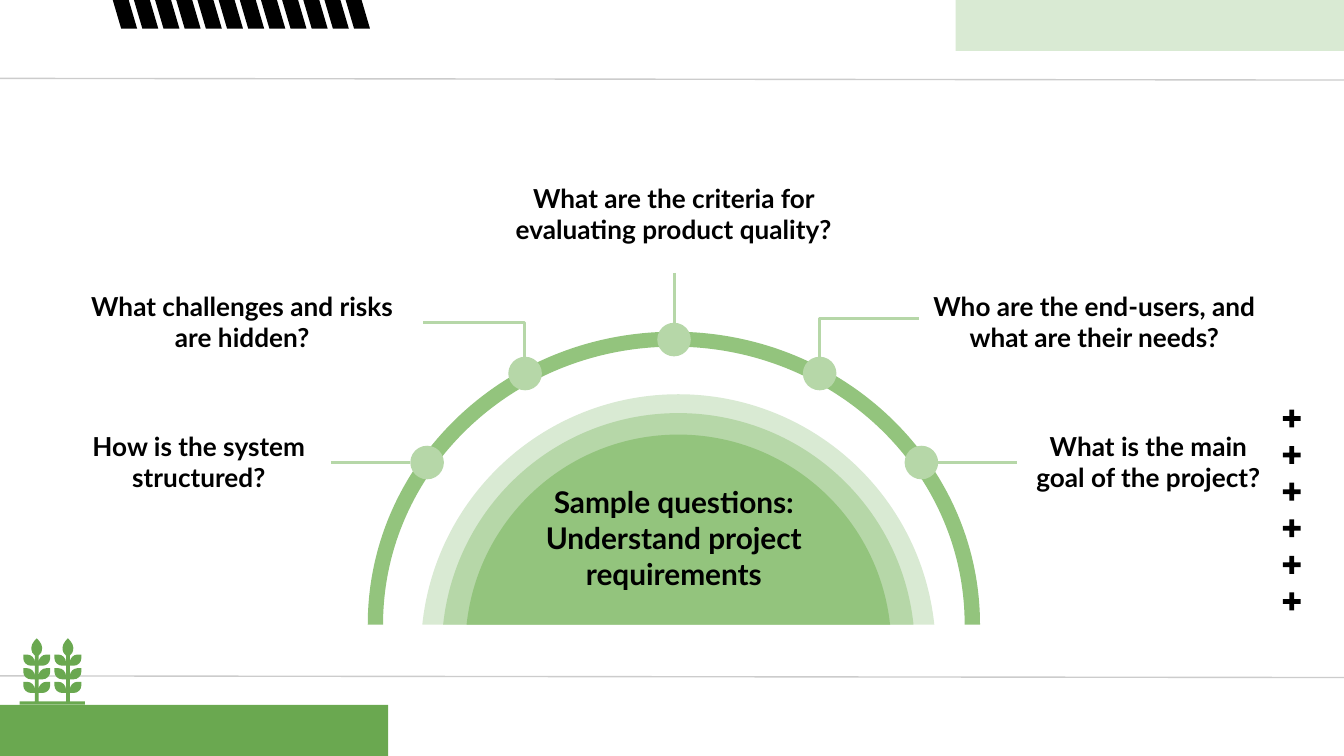
import math
import pptx
import pptx.util
import pptx.dml.color
import pptx.enum.shapes
import pptx.enum.text
import pptx.oxml.ns
import pptx.oxml.xmlchemy

Pt = pptx.util.Pt
Kind = pptx.enum.shapes.MSO_SHAPE
Link = pptx.enum.shapes.MSO_CONNECTOR
qn = pptx.oxml.ns.qn
make = pptx.oxml.xmlchemy.OxmlElement

FONT = "Lato"
BLACK, GREY = "000000", "CCCCCC"
PALE, LIGHT, MID, DEEP = "D9EAD3", "B6D7A8", "93C47D", "6AA850"
BASE = 334.6

RULES = [((-3, 42), (723, 42.9)), ((-3, 362.1), (723, 363))]
BANDS = [(512, 0, 360, 27.3, PALE), (-152, 377.6, 360, 27.4, DEEP)]
DOTS = [(228.8, 247.8), (281.3, 200.1), (361.1, 181.9), (439.1, 200.1), (493.6, 247.8)]
LINKS = [
    ((226.8, 172.6), (281.1, 191.5)),
    ((492.1, 170.6), (439, 191.5)),
    ((361.2, 146.2), (361.2, 172.8)),
    ((177.2, 247.9), (219.6, 247.9)),
    ((502.6, 247.9), (544.7, 247.9)),
]
DOMES = [(349.1, 137.9, PALE), (348, 126.7, LIGHT), (346.9, 114.1, MID)]
TEXTS = [
    ("Sample questions: Understand project requirements", 249.8, 252, 222.5, 72.7, 16),
    ("How is the system structured?", 36, 223.2, 141.1, 48.2, 14),
    ("What is the main goal of the project?", 544.7, 223.2, 141.1, 48.2, 14),
    ("What challenges and risks are hidden?", 35.8, 148.3, 187.9, 48.2, 14),
    ("Who are the end-users, and what are their needs?", 492.3, 148.3, 187.9, 48.2, 14),
    ("What are the criteria for evaluating product quality?", 267, 90.3, 187.9, 48.2, 14),
]

deck = pptx.Presentation()
deck.slide_width, deck.slide_height = Pt(720), Pt(405)
slide = deck.slides.add_slide(deck.slide_layouts[6])
shapes = slide.shapes


def tint(code):
    return pptx.dml.color.RGBColor.from_string(code)


def paint(shape, code):
    shape.shadow.inherit = False
    shape.fill.solid()
    shape.fill.fore_color.rgb = tint(code)
    shape.line.fill.background()
    return shape


def block(kind, x, y, w, h, code):
    return paint(shapes.add_shape(kind, Pt(x), Pt(y), Pt(w), Pt(h)), code)


def outline(nodes, code):
    spots = [(Pt(x), Pt(y)) for x, y, bend in nodes]
    pen = shapes.build_freeform(*spots[0])
    pen.add_line_segments(spots[1:], close=True)
    shape = paint(pen.convert_to_shape(), code)
    steps = list(shape._element.iter(qn("a:lnTo")))
    for i, step in enumerate(steps[:-2]):
        if nodes[i + 1][2] and nodes[i + 2][2]:
            curve = make("a:cubicBezTo")
            step.addprevious(curve)
            for old in steps[i:i + 3]:
                curve.append(old[0])
                old.getparent().remove(old)


def link(start, end, code, width):
    (x1, y1), (x2, y2) = start, end
    bent = code == LIGHT and x1 != x2 and y1 != y2
    line = shapes.add_connector(
        Link.ELBOW if bent else Link.STRAIGHT, Pt(x1), Pt(y1), Pt(x2), Pt(y2))
    line.line.color.rgb = tint(code)
    line.line.width = Pt(width)
    props = line._element.spPr
    props.append(make("a:effectLst"))
    if bent:
        props.find(qn("a:prstGeom")).set("prst", "bentConnector2")


def arc(cx, cy, rx, ry, first, last, parts):
    turn = (last - first) / parts
    pull = 4 / 3 * math.tan(turn / 4)

    def node(t, lean):
        x = math.cos(t) - lean * math.sin(t)
        y = math.sin(t) + lean * math.cos(t)
        return cx + rx * x, cy - ry * y, lean != 0

    nodes = [node(first, 0)]
    for i in range(parts):
        t = first + turn * i
        nodes += [node(t, pull), node(t + turn, -pull), node(t + turn, 0)]
    return nodes


def stalk():
    side = [(0, 342, False), (0, 342, True), (2.9, 344.6, True), (2.9, 347, False),
            (2.9, 349, True), (2.2, 350.6, True), (1, 351.3, False)]
    for row in range(3):
        y = 350.7 + 7.3 * row
        side += arc(5.2, y + 4.3, 4.2, 4.3, math.pi, math.pi / 2, 1)
        side += [(7.2, y, False)]
        side += arc(3, y + 2, 4.2, 4, 0, -math.pi / 2, 1)
        side += [(1, y + 6, False)]
    return side + [(1, 375.8, False)]


for start, end in RULES:
    link(start, end, GREY, 0.75)
for x, y, w, h, code in BANDS:
    block(Kind.RECTANGLE, x, y, w, h, code)

side = stalk()
wheat = [(10.5, 377.5, False), (10.5, 375.8, False)]
for axis in (19.7, 36.4):
    wheat += [(axis - x, y, bend) for x, y, bend in reversed(side)]
    wheat += [(axis + x, y, bend) for x, y, bend in side[1:]]
outline(wheat + [(45.5, 375.8, False), (45.5, 377.5, False)], DEEP)

for i in range(12):
    slash = block(Kind.PARALLELOGRAM, 56.9 + 11.34 * i, -12.1, 16.6, 27.4, BLACK)
    slash.adjustments[0] = 0.485
    slash._element.spPr.find(qn("a:xfrm")).set("flipH", "1")
for i in range(6):
    plus = block(Kind.MATH_PLUS, 685.5, 217.7 + 19.6 * i, 13, 13, BLACK)
    plus.adjustments[0] = 0.197

outer = arc(361, BASE, 164, 156.9, math.pi, 0, 2)
inner = arc(361, BASE, 155.8, 148.9, 0, math.pi, 2)
outline(outer + inner, MID)
for x, y in DOTS:
    block(Kind.OVAL, x - 9, y - 9, 18, 18, LIGHT)
for start, end in LINKS:
    link(start, end, LIGHT, 1.5)
for y, r, code in DOMES:
    low = math.asin((y - BASE) / r)
    outline(arc(363.4, y, r, r, math.pi - low, low, 2), code)

for words, x, y, w, h, size in TEXTS:
    frame = shapes.add_textbox(Pt(x), Pt(y), Pt(w), Pt(h)).text_frame
    frame.word_wrap = True
    frame.margin_left = frame.margin_right = Pt(7.2)
    frame.margin_top = frame.margin_bottom = Pt(7.2)
    frame.text = words
    para = frame.paragraphs[0]
    para.alignment = pptx.enum.text.PP_ALIGN.CENTER
    font = para.runs[0].font
    font.name, font.size, font.bold = FONT, Pt(size), True
    font.color.rgb = tint(BLACK)

deck.save("out.pptx")
